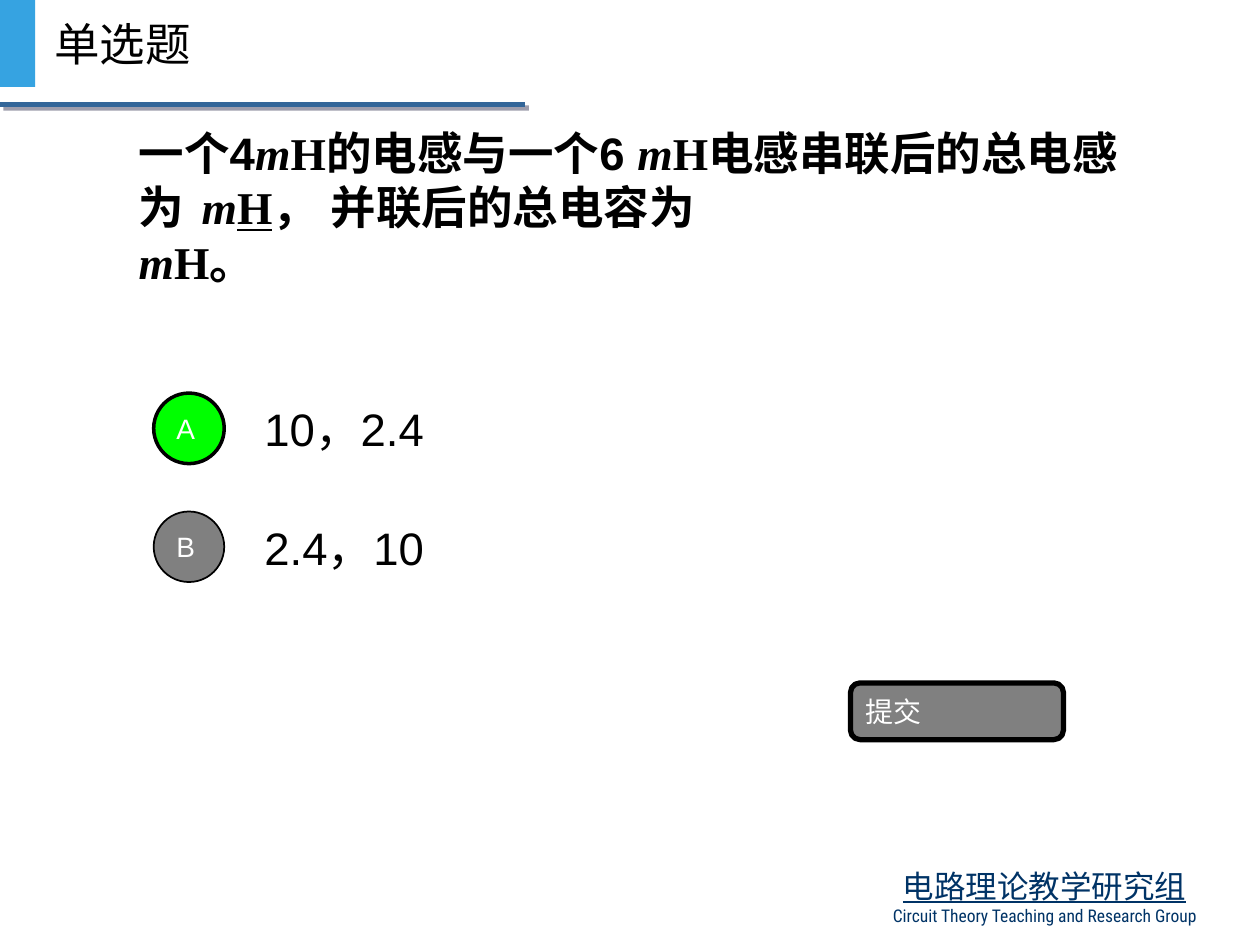
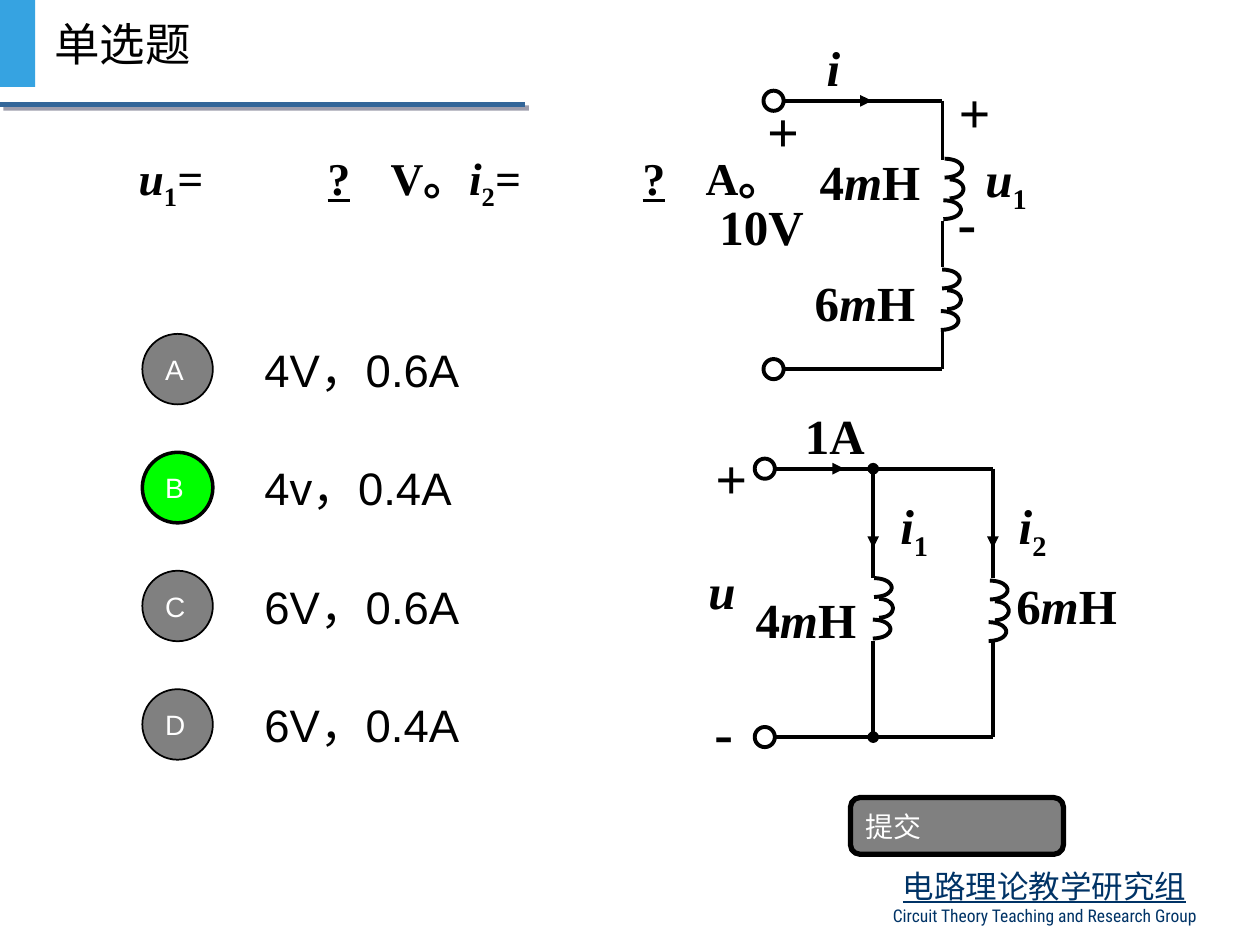
import math
from dataclasses import dataclass

import pptx
import pptx.dml.color
import pptx.enum.shapes
import pptx.enum.text
import pptx.oxml
import pptx.oxml.ns
import pptx.util
from lxml import etree

Inches = pptx.util.Inches
Pt = pptx.util.Pt
Shape = pptx.enum.shapes.MSO_SHAPE
Align = pptx.enum.text.PP_ALIGN
Anchor = pptx.enum.text.MSO_ANCHOR
qn = pptx.oxml.ns.qn


@dataclass(frozen=True)
class Theme:
    # Colours
    black: str = "000000"
    white: str = "FFFFFF"
    grey: str = "808080"
    green: str = "00FF00"
    bar: str = "36A3E1"
    rule: str = "336699"
    shade: str = "3E3E5C"
    navy: str = "003366"
    # Fonts
    sans: str = "Arial"
    serif: str = "Times New Roman"
    han: str = "Noto Sans CJK SC"
    thin: str = "Roboto Condensed"
    # Type sizes and line widths, in points
    main: int = 26
    label: int = 28
    sign: int = 32
    mark: int = 16
    team: int = 18
    small: int = 10
    wire: float = 2.25


def color(value):
    return pptx.dml.color.RGBColor.from_string(value)


def add(parent, tag, **attrs):
    return etree.SubElement(parent, qn(tag), attrs)


class Deck:
    def __init__(self, theme):
        self.theme = theme
        self.show = pptx.Presentation()
        self.show.slide_width, self.show.slide_height = Inches(10), Inches(7.5)
        self.base = self.show.slide_layouts[1]
        self.slide = None

    def start(self, title):
        first = self.slide is None
        self.slide = self.show.slides.add_slide(self.base)
        if first:
            self.frame()
        self.block(Shape.RECTANGLE, 0, 0, 0.28, 0.69, self.theme.bar)
        head = self.slide.shapes.title
        self.place(head, 0.33, 0, 1.39, 0.69)
        self.letter(head.text_frame.paragraphs[0], title, self.theme.main)

    def frame(self):
        """Put the rule and the footer on the shared layout."""
        t = self.theme
        rule = self.wire(0, 0.83, 4.17, 0.83, tint=t.rule, width=3)
        glow = add(rule.element.spPr.find(qn("a:effectLst")), "a:outerShdw",
                   dist=str(Pt(2.8)), dir="2700000", algn="ctr", rotWithShape="0")
        add(add(glow, "a:srgbClr", val=t.shade), "a:alpha", val="50000")
        foot = self.slide.shapes.add_textbox(0, 0, 0, 0)
        self.place(foot, 6.75, 6.83, 3.08, 0.57, Anchor.TOP)
        lines = (("电路理论教学研究组", t.team, t.han, True),
                 ("Circuit Theory Teaching and Research Group", t.small, t.thin, False))
        for n, (text, size, face, under) in enumerate(lines):
            para = foot.text_frame.add_paragraph() if n else foot.text_frame.paragraphs[0]
            self.letter(para, text, size, face, t.navy, Align.CENTER)
            para.font.underline = under
        for item in (rule, foot):
            self.base.shapes.element.append(item.element)

    # Text
    def place(self, shape, x, y, w, h, anchor=Anchor.MIDDLE):
        shape.left, shape.top = Inches(x), Inches(y)
        shape.width, shape.height = Inches(w), Inches(h)
        frame = shape.text_frame
        frame.word_wrap = True
        frame.auto_size = pptx.enum.text.MSO_AUTO_SIZE.NONE
        frame.vertical_anchor = anchor

    def face(self, font, name):
        font.name = name
        add(font._rPr, "a:ea", typeface=self.theme.sans)

    def letter(self, para, runs, size, face=None, tint=None, align=Align.LEFT,
               bold=False, tabs=()):
        """Runs: a string or (text, style) pairs; i italic, u line, s sub, a sans."""
        para.alignment = align
        para.space_before = Pt(0)
        props = para._p.get_or_add_pPr()
        props.set("marL", "0")
        props.set("indent", "0")
        add(props, "a:buNone")
        if tabs:
            stops = add(props, "a:tabLst")
            for stop in tabs:
                add(stops, "a:tab", pos=str(Inches(stop)), algn="l")
        font = para.font
        font.size, font.bold = Pt(size), bold
        font.color.rgb = color(tint or self.theme.black)
        self.face(font, face or self.theme.sans)
        for text, style in [(runs, "")] if isinstance(runs, str) else runs:
            if text == "\v":
                para.add_line_break()
                continue
            run = para.add_run()
            run.text = text
            if "i" in style:
                run.font.italic = True
            if "u" in style:
                run.font.underline = True
            if "s" in style:
                run._r.get_or_add_rPr().set("baseline", "-25000")
            if "a" in style:
                self.face(run.font, self.theme.sans)

    def ask(self, runs, tabs, drop=0.05):
        body = self.slide.placeholders[1]
        self.place(body, 1, 0.47, 8.25, 2.34)
        body.text_frame.margin_bottom = Inches(drop)
        self.letter(body.text_frame.paragraphs[0], runs, self.theme.main,
                    self.theme.serif, bold=True, tabs=tabs)

    def label(self, x, y, w, runs, size=None):
        size = size or self.theme.label
        box = self.slide.shapes.add_textbox(0, 0, 0, 0)
        self.place(box, x, y, w, 0.57 if size == self.theme.label else 0.63, Anchor.TOP)
        box.text_frame.margin_left = box.text_frame.margin_right = 0
        self.letter(box.text_frame.paragraphs[0], runs, size, self.theme.serif,
                    align=Align.CENTER, bold=True)

    def sign(self, x, y, text):
        self.label(x, y, 0.47, text, self.theme.sign)

    # Shapes
    def block(self, kind, x, y, w, h, fill=None, width=0, text=""):
        shape = self.slide.shapes.add_shape(kind, Inches(x), Inches(y), Inches(w), Inches(h))
        shape.shadow.inherit = False
        self.paint(shape, fill, width)
        if text:
            self.place(shape, x, y, w, h)
            self.letter(shape.text_frame.paragraphs[0], text, self.theme.mark,
                        tint=self.theme.white)

    def paint(self, shape, fill, width):
        if fill:
            shape.fill.solid()
            shape.fill.fore_color.rgb = color(fill)
        else:
            shape.fill.background()
        if width:
            shape.line.color.rgb = color(self.theme.black)
            shape.line.width = Pt(width)
        else:
            shape.line.fill.background()

    def choose(self, x, y, answers, right):
        """Stack lettered answers at an equal step; the right one is green."""
        for n, (text, w) in enumerate(answers):
            top = y + n * 0.94
            box = self.slide.shapes.add_textbox(0, 0, 0, 0)
            self.place(box, 2, top - 0.07, w, 0.7)
            self.letter(box.text_frame.paragraphs[0], text, self.theme.main)
            hit = n == right
            self.block(Shape.OVAL, x, top, 0.56, 0.56,
                       self.theme.green if hit else self.theme.grey,
                       2 if hit else 1, "ABCD"[n])

    def button(self, y):
        self.block(Shape.ROUNDED_RECTANGLE, 6.75, y, 1.69, 0.45, self.theme.grey, 3, "提交")

    # Circuit parts
    def wire(self, x1, y1, x2, y2, head=None, tail=None, tint=None, width=None):
        line = self.slide.shapes.add_connector(
            pptx.enum.shapes.MSO_CONNECTOR.STRAIGHT,
            Inches(x1), Inches(y1), Inches(x2), Inches(y2))
        line.line.color.rgb = color(tint or self.theme.black)
        line.line.width = Pt(width or self.theme.wire)
        for tag, kind in (("a:headEnd", head), ("a:tailEnd", tail)):
            if kind:
                add(line.get_or_add_ln(), tag, type=kind)
        add(line.element.spPr, "a:effectLst")
        return line

    def port(self, x, y):
        """Open terminal with its centre at x, y."""
        self.block(Shape.OVAL, x - 0.08, y - 0.08, 0.16, 0.16, width=self.theme.wire)

    def coil(self, x, y):
        """Three half loops that bulge to the right."""
        for n, (shift, reach) in enumerate(((0, 0.14), (0.04, 0.11), (-0.01, 0.14))):
            mid = y + 0.075 + n * 0.165
            dots = []
            for k in range(25):
                turn = math.pi * (k / 24 - 0.5)
                dots.append((1000 * (x + shift + reach * math.cos(turn)),
                             1000 * (mid + 0.075 * math.sin(turn))))
            pen = self.slide.shapes.build_freeform(*dots[0], scale=Inches(0.001))
            pen.add_line_segments(dots[1:], close=False)
            loop = pen.convert_to_shape()
            loop.shadow.inherit = False
            self.paint(loop, None, self.theme.wire)


deck = Deck(Theme())

# Slide 1: total inductance
deck.start("单选题")
deck.ask([("一个4", "a"), ("m", "i"), ("H", ""), ("的电感与一个6 ", "a"), ("m", "i"),
          ("H电感串联后的总电感为", ""), ("\t", "u"), ("m", "i"), ("H", "u"),
          ("， 并联后的总电容为 ", ""), ("\t", "u"), ("\v", ""), ("m", "i"), ("H。", "")],
         tabs=(2.28, 7.26))
deck.choose(1.22, 3.12, (("10，2.4", 7), ("2.4，10", 7)), right=0)
deck.button(5.42)

# Slide 2: voltage and current division
deck.start("单选题")
deck.ask([("u", "i"), ("1", "s"), ("=", "i"), ("\t", ""), ("\t", "u"), ("?", "u"),
          ("\t", "u"), ("V。", ""), ("i", "i"), ("2", "s"), ("=", "i"), ("\t", ""),
          ("\t", "u"), ("?", "u"), ("\t", "u"), ("A。", "")],
         tabs=(0.69, 1.06, 1.5, 2.89, 3.07, 3.7), drop=0.46)
deck.choose(1.13, 2.65, (("4V，0.6A", 2.58), ("4v，0.4A", 2.17),
                         ("6V，0.6A", 2.78), ("6V，0.4A", 2.57)), right=1)
deck.button(6.33)

four = [("4", ""), ("m", "i"), ("H", "")]
six = [("6", ""), ("m", "i"), ("H", "")]

# Series circuit
for y in (0.8, 2.93):
    deck.wire(6.22, y, 7.48, y)
    deck.port(6.14, y)
for top, end in ((0.8, 1.27), (1.75, 2.12), (2.62, 2.93)):
    deck.wire(7.48, top, 7.48, end)
deck.wire(6.37, 0.8, 6.92, 0.8, tail="triangle")
deck.coil(7.5, 1.26)
deck.coil(7.48, 2.14)
deck.label(7.59, 1.13, 0.79, [("u", "i"), ("1", "s")])
deck.label(5.56, 1.51, 0.97, "10V")
deck.label(6.22, 0.25, 0.79, [("i", "i")])
deck.label(6.31, 1.15, 1.19, four)
deck.label(6.36, 2.11, 1.01, six)
for x, y, text in ((7.5, 0.57, "+"), (5.98, 0.72, "+"), (7.44, 1.44, "-")):
    deck.sign(x, y, text)

# Parallel circuit
for y in (3.72, 5.85):
    deck.wire(6.15, y, 7.88, y)
    deck.port(6.07, y)
for x, dot in ((6.93, "oval"), (7.88, None)):
    deck.wire(x, 3.72, x, 4.59, head=dot)
    deck.wire(x, 5.09, x, 5.85, tail=dot)
    deck.wire(x, 3.96, x, 4.35, tail="triangle")
deck.wire(6.38, 3.72, 6.7, 3.72, tail="triangle")
deck.coil(6.94, 4.59)
deck.coil(7.86, 4.61)
deck.label(6.86, 3.88, 0.79, [("i", "i"), ("1", "s")])
deck.label(7.8, 3.88, 0.79, [("i", "i"), ("2", "s")])
deck.label(5.28, 4.4, 0.9, [("u", "i")])
deck.label(6.23, 3.17, 0.79, "1A")
deck.label(5.8, 4.63, 1.19, four)
deck.label(7.96, 4.52, 1.01, six)
deck.sign(5.57, 3.47, "+")
deck.sign(5.51, 5.49, "-")

deck.show.save("out.pptx")
